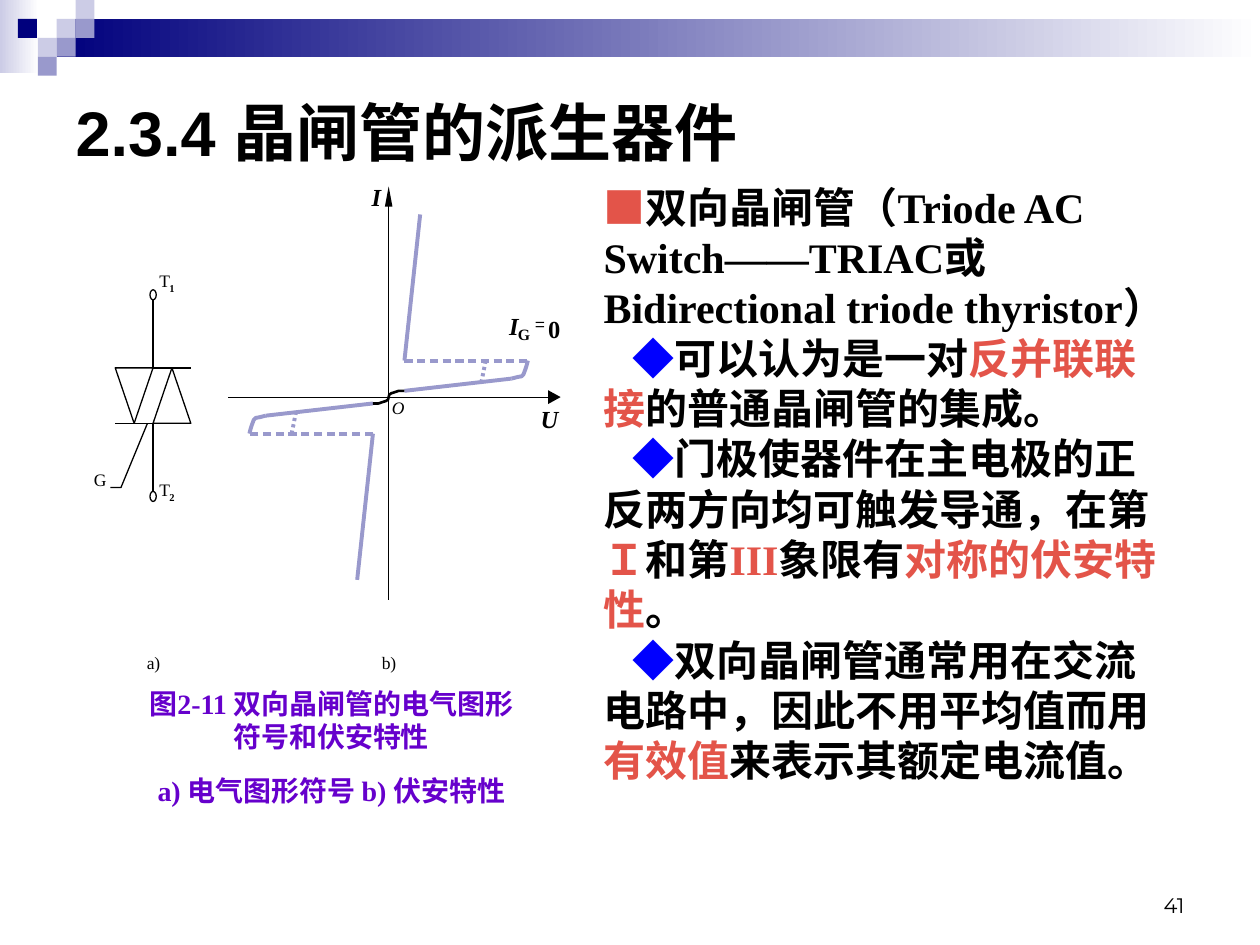
from collections import namedtuple
from dataclasses import dataclass

from lxml import etree
from pptx import Presentation
from pptx.dml.color import RGBColor
from pptx.enum import shapes, text
from pptx.oxml.ns import qn
from pptx.util import Emu, Inches, Pt

UNIT = Inches(0.1)  # the page is a grid of 100 columns by 75 rows
Box = namedtuple("Box", "left top width height")
Dot = namedtuple("Dot", "x y")


@dataclass(frozen=True)
class Theme:
    black: str = "000000"
    white: str = "FFFFFF"
    navy: str = "00007D"
    lilac: str = "9999CC"
    pale: str = "CCCCE6"
    red: str = "E35449"
    blue: str = "0000FF"
    violet: str = "6600CC"
    serif: str = "Times New Roman"
    sans: str = "Arial"
    chinese: str = "Noto Sans CJK SC"
    digits: str = "Montserrat"
    title: int = 36
    body: int = 24
    caption: int = 16
    label: int = 10
    thin: float = 0.75
    medium: float = 1.5
    thick: float = 2.25


THEME = Theme()


def grid(*lengths):
    return [Emu(round(length * UNIT)) for length in lengths]


def rgb(colour):
    return RGBColor.from_string(colour)


def place(shape, box):
    shape.left, shape.top, shape.width, shape.height = grid(*box)


def set_font(font, size, name=THEME.serif, colour=THEME.black, bold=False, italic=False):
    font.size, font.name, font.bold, font.italic = Pt(size), name, bold, italic
    font.color.rgb = rgb(colour)


def add_block(page, kind, box, colour):
    block = page.shapes.add_shape(kind, *grid(*box))
    block.shadow.inherit = False
    block.line.fill.background()
    block.fill.solid()
    block.fill.fore_color.rgb = rgb(colour)
    return block


def add_line(page, start, end, colour=THEME.black, width=THEME.thin):
    line = page.shapes.add_connector(shapes.MSO_CONNECTOR.STRAIGHT, *grid(*start, *end))
    line.line.color.rgb, line.line.width = rgb(colour), Pt(width)
    etree.SubElement(line._element.spPr, qn("a:effectLst"))


def add_path(page, points, colour=THEME.black, width=THEME.thin, close=False, solid=False):
    first, *rest = [grid(*point) for point in points]
    builder = page.shapes.build_freeform(*first)
    builder.add_line_segments(rest, close=close)
    path = builder.convert_to_shape()
    path.shadow.inherit = False
    if solid:
        path.fill.solid()
        path.fill.fore_color.rgb = rgb(colour)
        path.line.fill.background()
    else:
        path.fill.background()
        path.line.color.rgb, path.line.width = rgb(colour), Pt(width)


def add_label(page, wording, box, size=THEME.label, **style):
    label = page.shapes.add_textbox(*grid(*box))
    frame = label.text_frame
    frame.word_wrap = False
    frame.margin_left = frame.margin_right = frame.margin_top = frame.margin_bottom = 0
    para = frame.paragraphs[0]
    para.text, para.line_spacing = wording, 0.9
    set_font(para.font, size, **style)


def draw_banner(page, box):
    # Fading bands
    for band, colour in ((Box(0, 0, 3.1, 5.8), THEME.pale),
                         (Box(4.5, 1.5, box.width - 4.5, 3), THEME.navy)):
        fill = add_block(page, shapes.MSO_SHAPE.RECTANGLE, band, colour).fill
        fill.gradient()
        fill.gradient_angle = 0
        for stop, shade in zip(fill.gradient_stops, (colour, THEME.white)):
            stop.color.rgb = rgb(shade)
    # Mosaic of squares, by column and row
    mosaic = {THEME.pale: [(3, 1), (4, 0), (2, 2)],
              THEME.lilac: [(4, 1), (3, 2), (2, 3)],
              THEME.navy: [(0.95, 1)]}
    for colour, cells in mosaic.items():
        for column, row in cells:
            square = Box(box.left + 1.5 * column, box.top + 1.5 * row, 1.5, 1.5)
            add_block(page, shapes.MSO_SHAPE.RECTANGLE, square, colour)


def fill_title(title, box):
    place(title, box)
    frame = title.text_frame
    frame.vertical_anchor = text.MSO_ANCHOR.MIDDLE
    para = frame.paragraphs[0]
    para.text, para.alignment = "2.3.4 晶闸管的派生器件", text.PP_ALIGN.LEFT
    set_font(para.font, THEME.title, THEME.sans, bold=True)


def draw_symbol(page, box):
    centre = Dot(box.left + 3.4, box.top + box.height / 2)
    # Upper and lower halves mirror each other through the centre
    for sign in (1, -1):
        def spot(x, y):
            return centre.x + sign * x, centre.y + sign * y
        add_path(page, [spot(0, 2.2), spot(3, 2.2), spot(1.5, -2.2)], close=True)
        add_line(page, spot(0, 2.2), spot(-3, 2.2))
        add_line(page, spot(0, 2.2), spot(0, 7.6))
        x, y = spot(0, 8)
        add_block(page, shapes.MSO_SHAPE.OVAL, Box(x - 0.25, y - 0.4, 0.5, 0.8), THEME.black)
        terminal = page.shapes[-1]
        terminal.fill.background()
        terminal.line.color.rgb, terminal.line.width = rgb(THEME.black), Pt(THEME.thin)
    # Gate lead
    add_path(page, [(centre.x + x, centre.y + y) for x, y in
                    ((-0.45, 2.2), (-2.55, 7.3), (-3.4, 7.3))])
    # Terminal names
    add_label(page, "G", Box(box.left - 1.3, centre.y + 6, 1, 1.5))
    for number, top in (("1", -9.8), ("2", 6.8)):
        add_label(page, "T", Box(centre.x + 0.5, centre.y + top, 0.9, 1.5))
        add_label(page, number, Box(centre.x + 1.3, centre.y + top + 0.9, 0.4, 0.9), 6, bold=True)
    add_label(page, "a)", Box(centre.x - 0.5, centre.y + 20.5, 1.1, 1.5))


def draw_curve(page, box):
    origin = Dot(box.left + 12.75, box.top + 16.72)
    right, bottom = box.left + box.width, box.top + box.height
    # Axes with arrowheads
    add_line(page, (box.left, origin.y), (right - 0.9, origin.y))
    add_path(page, [(right - 1, origin.y - 0.55), (right, origin.y), (right - 1, origin.y + 0.55)],
             close=True, solid=True)
    add_line(page, (origin.x, bottom), (origin.x, box.top + 1.5))
    add_path(page, [(origin.x - 0.3, box.top + 1.6), (origin.x, box.top), (origin.x + 0.3, box.top + 1.6)],
             close=True, solid=True)
    # The two branches mirror each other through the origin
    knee = [(0, 0), (0.05, -0.2), (0.2, -0.3), (0.5, -0.4), (0.8, -0.5), (1.25, -0.5)]
    hook = [(9.75, -1.47), (10.25, -1.6), (10.55, -1.65), (10.7, -1.8),
            (10.85, -2.2), (10.95, -2.5), (11.05, -2.9)]
    for sign in (1, -1):
        def spot(x, y):
            return origin.x + sign * x, origin.y + sign * y
        strokes = [((1.25, -2.9), (2.5, -14.5)), ((1.25, -0.5), (9.75, -1.47))]
        strokes += [((1.25 + 1.01 * step, -2.9), (1.9 + 1.01 * step, -2.9)) for step in range(10)]
        strokes += [((7.7 - 0.1 * step, -2.9 + 0.5 * step), (7.65 - 0.1 * step, -2.65 + 0.5 * step))
                    for step in range(4)]
        for start, end in strokes:
            add_line(page, spot(*start), spot(*end), THEME.lilac, THEME.thick)
        add_path(page, [spot(*point) for point in knee], THEME.black, THEME.medium)
        add_path(page, [spot(*point) for point in hook], THEME.lilac, THEME.thick)
    # Axis and curve names
    strong = dict(size=14, bold=True)
    for wording, x, y, width, style in (
            ("I", -1.35, -16.8, 0.8, dict(strong, italic=True)),
            ("O", 0.25, 0.2, 1, dict(italic=True)),
            ("U", 12.05, 0.8, 1.4, dict(strong, italic=True)),
            ("I", 9.55, -6.6, 0.8, dict(strong, italic=True)),
            ("G", 10.25, -5.6, 1, dict(size=9, bold=True)),
            ("=", 11.65, -6.4, 0.8, dict(name=THEME.chinese)),
            ("0", 12.65, -6.3, 1, strong),
            ("b)", -0.55, 20.4, 1.2, {})):
        add_label(page, wording, Box(origin.x + x, origin.y + y, width, 1.5), **style)


def fill_body(body, box):
    place(body, box)
    frame = body.text_frame
    frame.auto_size = text.MSO_AUTO_SIZE.NONE
    black, red, blue = THEME.black, THEME.red, THEME.blue
    points = [
        [("■", red), ("双向晶闸管（Triode AC Switch——TRIAC或Bidirectional triode thyristor）", black)],
        [("◆", blue), ("可以认为是一对", black), ("反并联联接", red), ("的普通晶闸管的集成。", black)],
        [("◆", blue), ("门极使器件在主电极的正反两方向均可触发导通，在第", black), ("Ｉ", red),
         ("和第", black), ("III", red), ("象限有", black), ("对称的伏安特性", red), ("。", black)],
        [("◆", blue), ("双向晶闸管通常用在交流电路中，因此不用平均值而用", black),
         ("有效值", red), ("来表示其额定电流值。", black)]]
    for index, spans in enumerate(points):
        para = frame.paragraphs[0] if index == 0 else frame.add_paragraph()
        para.space_before, para.line_spacing = Pt(0), Pt(28.75)
        layout = para._p.get_or_add_pPr()
        layout.set("marL", "0")
        layout.set("indent", str(Inches(0.23) if index else 0))
        etree.SubElement(layout, qn("a:buNone"))
        set_font(para.font, THEME.body, bold=True)
        for wording, colour in spans:
            span = para.add_run()
            span.text = wording
            span.font.color.rgb = rgb(colour)


def add_caption(page, box):
    frame = page.shapes.add_textbox(*grid(*box)).text_frame
    frame.word_wrap = True
    lines = ("图2-11 双向晶闸管的电气图形", "符号和伏安特性", "a) 电气图形符号 b) 伏安特性")
    for index, wording in enumerate(lines):
        para = frame.paragraphs[0] if index == 0 else frame.add_paragraph()
        para.text, para.alignment = wording, text.PP_ALIGN.CENTER
        para.line_spacing, para.space_before = Pt(19), Pt(12 if index == 2 else 0)
        set_font(para.font, THEME.caption, colour=THEME.violet, bold=True)


def add_page_number(page, box):
    frame = page.shapes.add_textbox(*grid(*box)).text_frame
    frame.word_wrap, frame.vertical_anchor = True, text.MSO_ANCHOR.BOTTOM
    para = frame.paragraphs[0]
    para.text, para.alignment = "41", text.PP_ALIGN.RIGHT
    set_font(para.font, 12, THEME.digits)


def main():
    deck = Presentation()
    deck.slide_width, deck.slide_height = grid(100, 75)
    page = deck.slides.add_slide(deck.slide_layouts[1])
    draw_banner(page, Box(0, 0, 100, 6))
    fill_title(page.shapes.title, Box(5, 6.4, 90, 8.1))
    draw_symbol(page, Box(8.75, 23, 6.4, 16.8))
    draw_curve(page, Box(18.1, 14.8, 26.4, 32.8))
    fill_body(page.placeholders[1], Box(46.9, 13.9, 47.2, 57))
    add_caption(page, Box(9, 54, 34.6, 11))
    add_page_number(page, Box(71.7, 68.3, 23.3, 5))
    deck.save("out.pptx")


if __name__ == "__main__":
    main()
